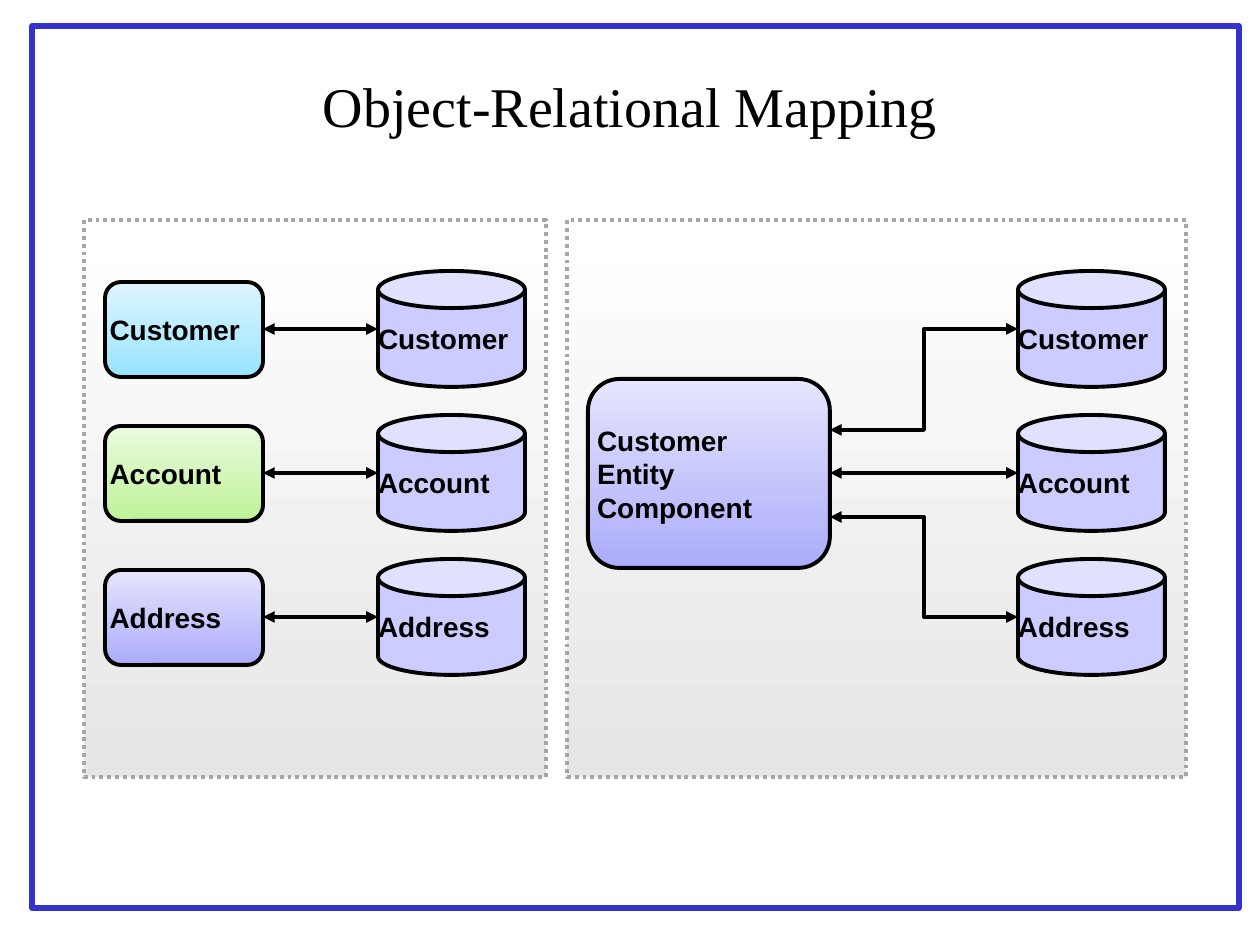
import pptx
import pptx.util
import pptx.dml.color
import pptx.enum.dml
import pptx.enum.shapes
import pptx.enum.text
import pptx.oxml.ns
import lxml.etree

PX = 914400 // 126
COLORS = {
    "black": "000000", "white": "FFFFFF", "frame": "3333CC",
    "panel_dark": "E6E6E6", "panel_edge": "A6A6A6", "table": "CCCCFF",
    "blue_dark": "97E4FF", "blue_light": "DFF5FF",
    "green_dark": "BEF397", "green_light": "EAFAE0",
    "violet_dark": "ACACFA", "violet_light": "E5E5FD",
}
KINDS = pptx.enum.shapes.MSO_SHAPE
LINKS = pptx.enum.shapes.MSO_CONNECTOR
RGB = {name: pptx.dml.color.RGBColor.from_string(code) for name, code in COLORS.items()}

presentation = pptx.Presentation()
presentation.slide_width = 1260 * PX
presentation.slide_height = 945 * PX
slide = presentation.slides.add_slide(presentation.slide_layouts[6])


def add_box(kind, bounds, fills, edge="black", weight=2.25, lines=()):
    box = slide.shapes.add_shape(kind, *[length * PX for length in bounds])
    box.shadow.inherit = False
    if len(fills) == 1:
        box.fill.solid()
        box.fill.fore_color.rgb = RGB[fills[0]]
    else:
        box.fill.gradient()
        box.fill.gradient_angle = 90
        for stop, fill in zip(box.fill.gradient_stops, fills):
            stop.color.rgb = RGB[fill]
    box.line.color.rgb = RGB[edge]
    box.line.width = pptx.util.Pt(weight)
    frame = box.text_frame
    frame.word_wrap = True
    frame.vertical_anchor = pptx.enum.text.MSO_ANCHOR.MIDDLE
    frame.margin_left = frame.margin_right = 0
    if lines:
        frame.text = "\n".join(lines)
        for paragraph in frame.paragraphs:
            paragraph.alignment = pptx.enum.text.PP_ALIGN.LEFT
            paragraph.font.name = "Arial"
            paragraph.font.size = pptx.util.Pt(16)
            paragraph.font.bold = True
            paragraph.font.color.rgb = RGB["black"]
    return box


def add_arrow(kind, *ends):
    arrow = slide.shapes.add_connector(kind, *[length * PX for length in ends])
    arrow.line.color.rgb = RGB["black"]
    arrow.line.width = pptx.util.Pt(2.25)
    outline = arrow.line._get_or_add_ln()
    for end in ("a:headEnd", "a:tailEnd"):
        lxml.etree.SubElement(outline, pptx.oxml.ns.qn(end), type="triangle")
    lxml.etree.SubElement(arrow._element.spPr, pptx.oxml.ns.qn("a:effectLst"))


add_box(KINDS.RECTANGLE, (32, 26, 1207, 882), ["white"], "frame", 3)

title = slide.shapes.add_textbox(95 * PX, 26 * PX, 1071 * PX, 158 * PX).text_frame
title.word_wrap = True
title.vertical_anchor = pptx.enum.text.MSO_ANCHOR.MIDDLE
title.text = "Object-Relational Mapping"
heading = title.paragraphs[0]
heading.alignment = pptx.enum.text.PP_ALIGN.CENTER
heading.font.name = "Times New Roman"
heading.font.size = pptx.util.Pt(32)
heading.font.color.rgb = RGB["black"]

for left, width in ((84, 462), (567, 619)):
    panel = add_box(KINDS.RECTANGLE, (left, 220, width, 557),
                    ["panel_dark", "white"], "panel_edge")
    panel.line.dash_style = pptx.enum.dml.MSO_LINE.ROUND_DOT

add_box(KINDS.ROUNDED_RECTANGLE, (588, 379, 242, 189), ["violet_dark", "violet_light"],
        lines=["Customer", "Entity", "Component"])

entities = [("Customer", "blue", 430), ("Account", "green", 473), ("Address", "violet", 517)]
for row, (entity, hue, port) in enumerate(entities):
    middle = 329 + 144 * row
    add_box(KINDS.ROUNDED_RECTANGLE, (105, middle - 47, 158, 95),
            [f"{hue}_dark", f"{hue}_light"], lines=[entity])
    for left in (378, 1018):
        table = add_box(KINDS.CAN, (left, middle - 58, 147, 116), ["table"], lines=[entity])
        table.adjustments[0] = 0.32
    add_arrow(LINKS.STRAIGHT, 263, middle, 378, middle)
    link = LINKS.STRAIGHT if port == middle else LINKS.ELBOW
    add_arrow(link, 830, port, 1018, middle)

presentation.save("out.pptx")
